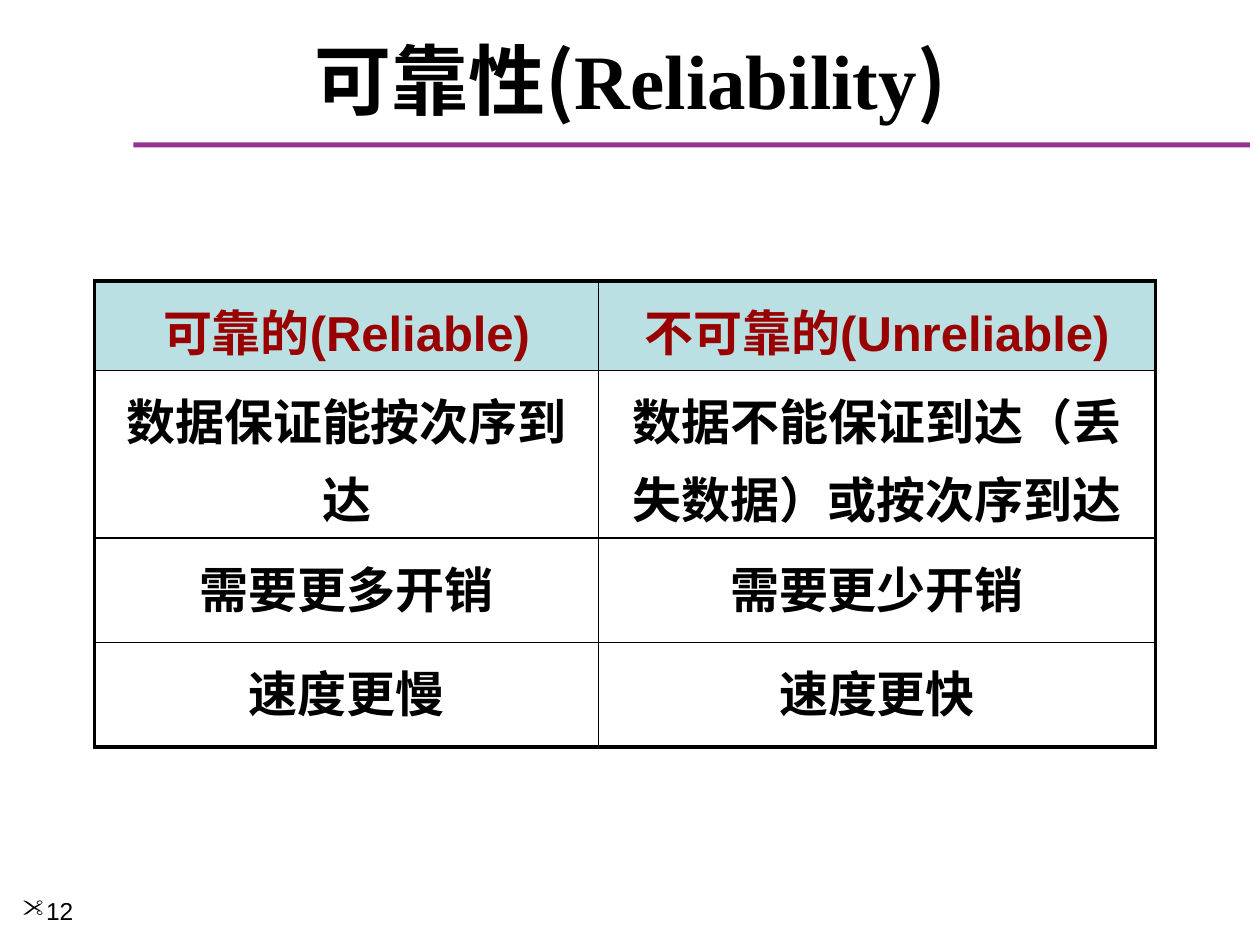
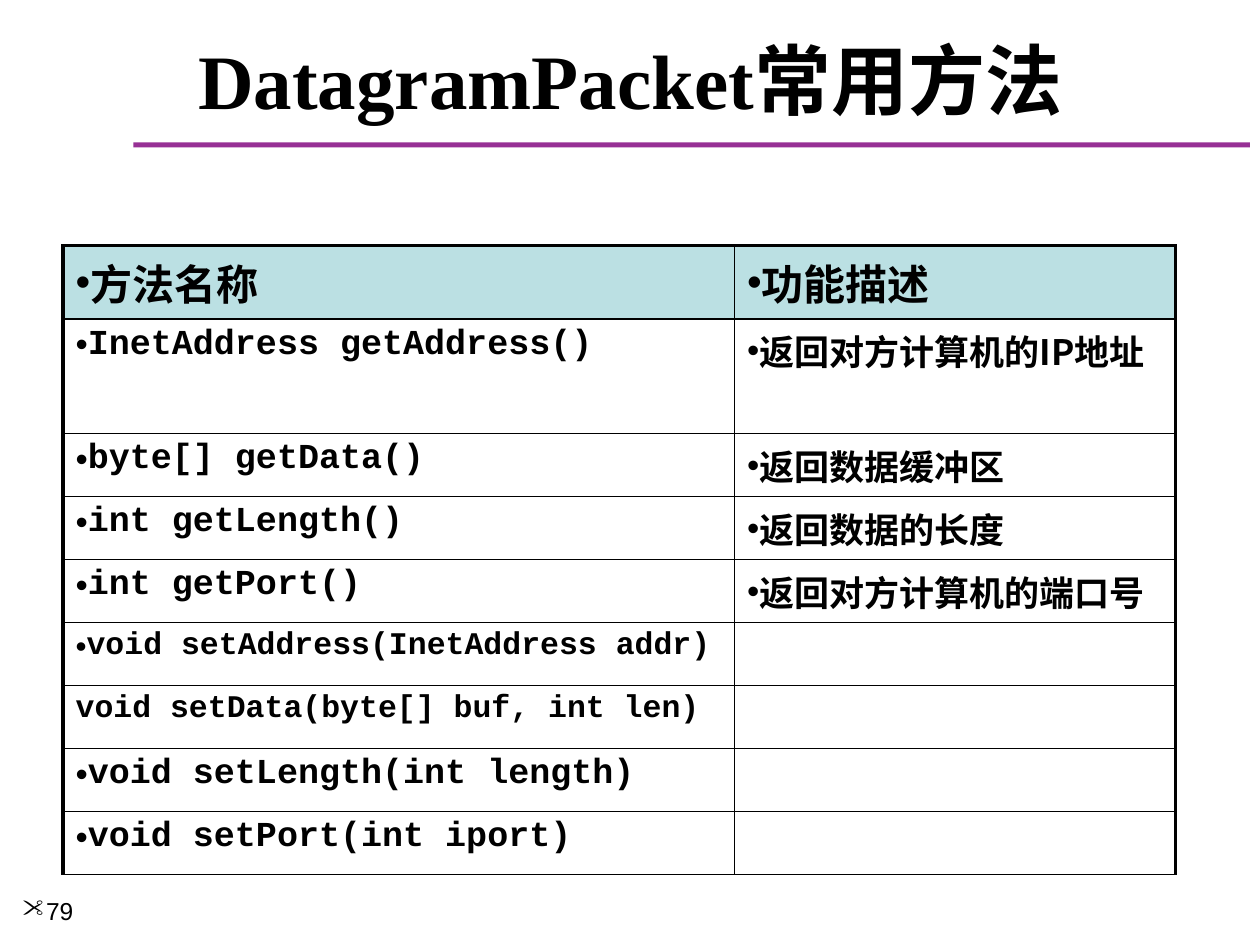
from lxml.etree import SubElement
from pptx import Presentation
from pptx.dml.color import RGBColor
from pptx.enum.shapes import MSO_SHAPE
from pptx.enum.text import MSO_ANCHOR, MSO_AUTO_SIZE, PP_ALIGN
from pptx.oxml.ns import qn
from pptx.util import Inches, Pt

COLORS = {"ink": "000000", "rule": "973095", "head": "BBE0E3", "red": "990000"}
SANS, SERIF, CODE, HAN = "Arial", "Times New Roman", "Courier New", "Noto Sans CJK SC"
THIN, THICK = 1, 2.25


def rgb(name):
    return RGBColor.from_string(COLORS[name])


class Deck:
    """Holds the shared style and the current slide."""

    def __init__(self):
        self.prs = Presentation()
        self.prs.slide_width, self.prs.slide_height = Inches(10), Inches(7.5)

    def box(self, left, top, width, height):
        return [Inches(n) for n in (left, top, width, height)]

    def style(self, para, size, face, color="ink", bold=True):
        font = para.font
        font.size, font.bold, font.name = Pt(size), bold, face
        font.color.rgb = rgb(color)
        props = para._p.pPr.find(qn("a:defRPr"))
        SubElement(props, qn("a:ea")).set("typeface", HAN)

    def bullet(self, para, char="•", face=SANS):
        props = para._p.get_or_add_pPr()
        props.set("marL", "0")
        props.set("indent", "0")
        SubElement(props, qn("a:buFont")).set("typeface", face)
        SubElement(props, qn("a:buChar")).set("char", char)

    def page(self, number, parts):
        """Start a slide; parts are (text, font) pairs of its title."""
        self.slide = self.prs.slides.add_slide(self.prs.slide_layouts[5])
        self.band()
        self.title(parts)
        self.number(number)

    def band(self):
        bar = self.slide.shapes.add_shape(
            MSO_SHAPE.RECTANGLE, *self.box(1.06, 1.13, 8.86, 0.04))
        bar.shadow.inherit = False
        bar.fill.solid()
        bar.fill.fore_color.rgb = rgb("rule")
        bar.line.fill.background()

    def title(self, parts):
        shape = self.slide.shapes.title
        shape.left, shape.top, shape.width, shape.height = self.box(0.17, 0.25, 9.67, 0.75)
        frame = shape.text_frame
        frame.auto_size = MSO_AUTO_SIZE.NONE
        frame.vertical_anchor = MSO_ANCHOR.MIDDLE
        para = frame.paragraphs[0]
        para.alignment = PP_ALIGN.CENTER
        self.style(para, 44, parts[0][1])
        for text, face in parts:
            run = para.add_run()
            run.text = text
            run.font.name = face

    def number(self, value):
        frame = self.slide.shapes.add_textbox(*self.box(0.08, 7.06, 1.08, 0.44)).text_frame
        frame.word_wrap = True
        para = frame.paragraphs[0]
        para.text = str(value)
        self.bullet(para, '"', "Wingdings")
        self.style(para, 14, SANS, bold=False)

    def table(self, left, top, cols, rows, foot):
        """Add a ruled table with a tinted head row; foot is the last line's width."""
        frame = self.slide.shapes.add_table(
            len(rows), len(cols), *self.box(left, top, sum(cols), sum(rows)))
        grid = frame.table
        grid.first_row = grid.horz_banding = False
        for col, width in zip(grid.columns, cols):
            col.width = Inches(width)
        for row, height in zip(grid.rows, rows):
            row.height = Inches(height)
        for r in range(len(rows)):
            for c in range(len(cols)):
                cell = grid.cell(r, c)
                self.edge(cell, "L", THIN if c else THICK)
                self.edge(cell, "R", THICK if c == len(cols) - 1 else THIN)
                self.edge(cell, "T", THIN if r else THICK)
                self.edge(cell, "B", foot if r == len(rows) - 1 else THIN)
                if r:
                    cell.fill.background()
                else:
                    cell.fill.solid()
                    cell.fill.fore_color.rgb = rgb("head")
        return grid

    def edge(self, cell, side, width):
        line = SubElement(cell._tc.get_or_add_tcPr(), qn("a:ln" + side))
        line.set("w", str(Pt(width)))
        fill = SubElement(line, qn("a:solidFill"))
        SubElement(fill, qn("a:srgbClr")).set("val", COLORS["ink"])

    def entry(self, cell, text, size, face, color="ink", dot=False):
        para = cell.text_frame.paragraphs[0]
        para.text = text
        if dot:
            self.bullet(para)
        self.style(para, size, face, color)
        return para


def compare(deck):
    deck.page(12, [("可靠性(", HAN), ("Reliability", SERIF), (")", HAN)])
    pairs = [
        ("可靠的(Reliable)", "不可靠的(Unreliable)"),
        ("数据保证能按次序到达", "数据不能保证到达（丢失数据）或按次序到达"),
        ("需要更多开销", "需要更少开销"),
        ("速度更慢", "速度更快"),
    ]
    grid = deck.table(0.75, 2.23, [4, 4.42], [0.71, 1.33, 0.83, 0.83], THICK)
    for r, pair in enumerate(pairs):
        for c, text in enumerate(pair):
            para = deck.entry(grid.cell(r, c), text, 28, SANS, "ink" if r else "red")
            para.alignment = PP_ALIGN.CENTER
            para.line_spacing = 1.1


def methods(deck):
    deck.page(79, [("DatagramPacket常用方法", SERIF)])
    calls = [
        ("InetAddress getAddress()", "返回对方计算机的IP地址", 20, True),
        ("byte[] getData()", "返回数据缓冲区", 20, True),
        ("int getLength()", "返回数据的长度", 20, True),
        ("int getPort()", "返回对方计算机的端口号", 20, True),
        ("void setAddress(InetAddress addr)", "", 18, True),
        ("void setData(byte[] buf, int len)", "", 18, False),
        ("void setLength(int length)", "", 20, True),
        ("void setPort(int iport)", "", 20, True),
    ]
    grid = deck.table(0.5, 1.95, [5.33, 3.5], [0.58, 0.91] + [0.5] * 7, THIN)
    for c, text in enumerate(("方法名称", "功能描述")):
        deck.entry(grid.cell(0, c), text, 24, HAN, dot=True)
    for r, (call, note, size, dot) in enumerate(calls, 1):
        deck.entry(grid.cell(r, 0), call, size, CODE, dot=dot)
        if note:
            deck.entry(grid.cell(r, 1), note, 20, HAN, dot=True)


def main():
    deck = Deck()
    compare(deck)
    methods(deck)
    deck.prs.save("out.pptx")


if __name__ == "__main__":
    main()
